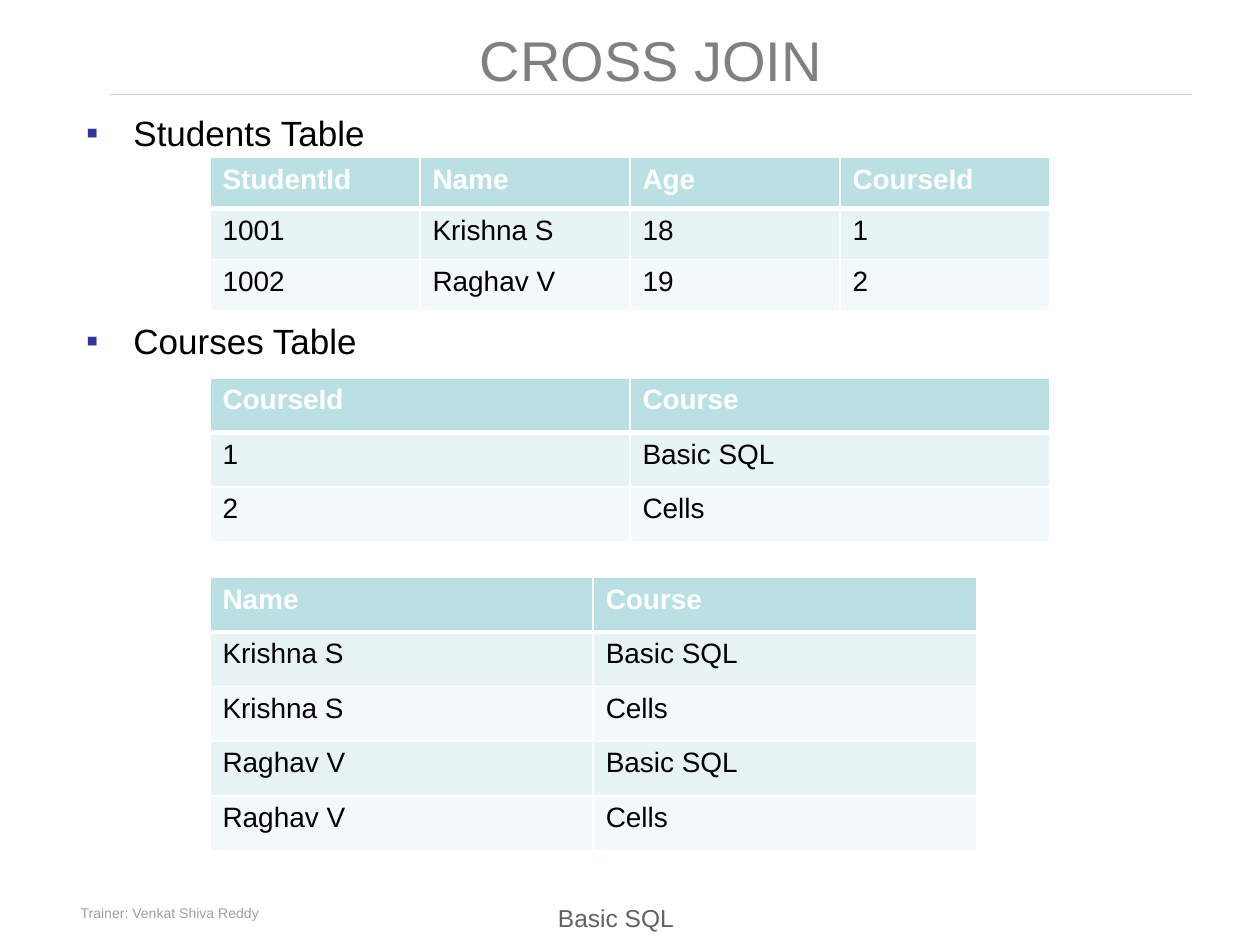
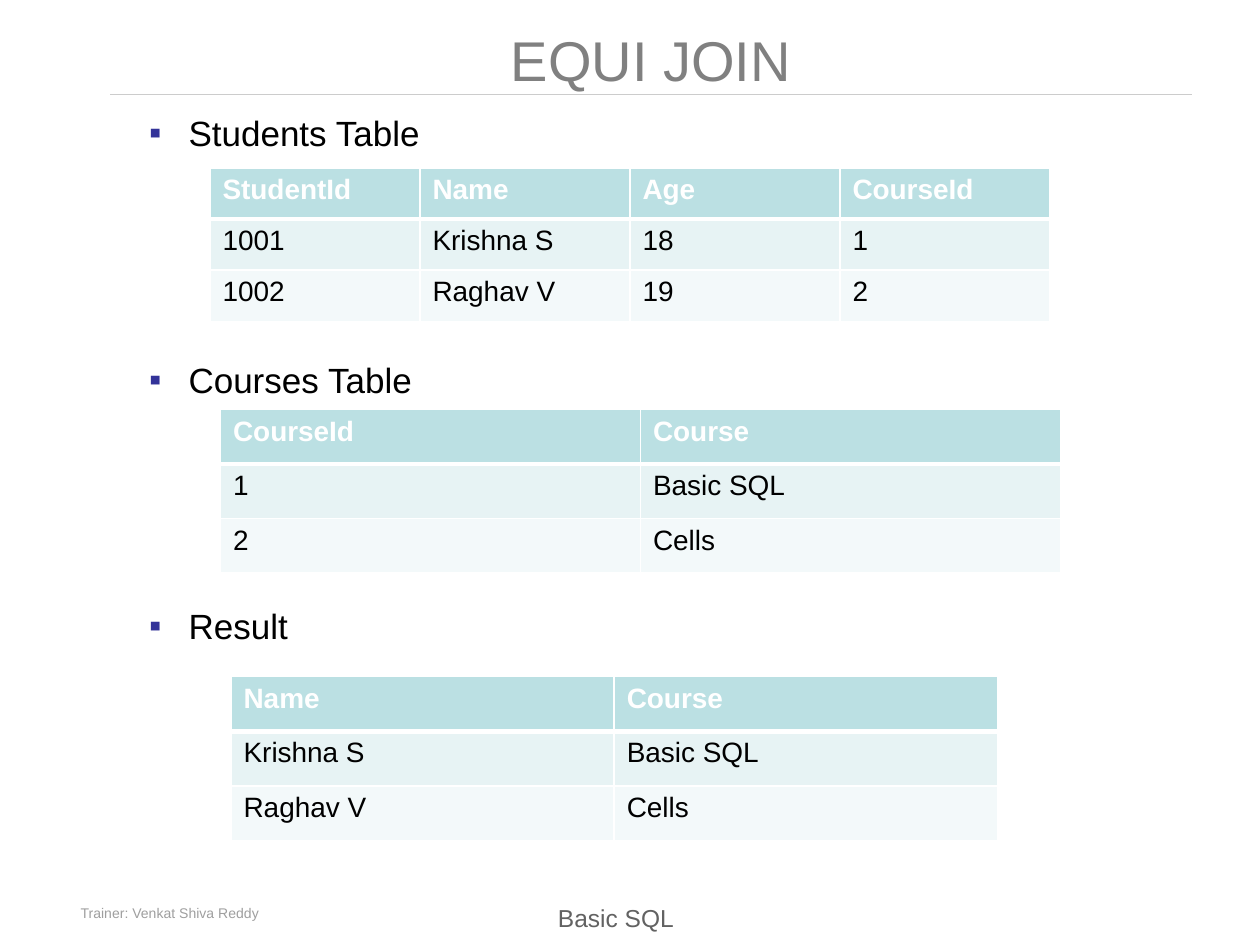
from dataclasses import dataclass

from lxml.etree import SubElement
from pptx import Presentation
from pptx.dml.color import RGBColor
from pptx.enum.shapes import MSO_CONNECTOR
from pptx.enum.text import MSO_ANCHOR, MSO_AUTO_SIZE, PP_ALIGN
from pptx.oxml.ns import qn
from pptx.slide import Slide
from pptx.table import _Cell
from pptx.text.text import _Paragraph
from pptx.util import Pt


@dataclass(frozen=True)
class Style:
    size: float
    color: str
    bold: bool = False


@dataclass(frozen=True)
class Theme:
    font: str = "Arial"
    title: Style = Style(32, "808080")
    body: Style = Style(20, "000000")
    head: Style = Style(16, "FFFFFF", True)
    cell: Style = Style(16, "000000")
    course: Style = Style(14, "626262")
    trainer: Style = Style(8, "9F9F9F")
    bullet: str = "333399"
    rule: str = "CCCCCC"
    border: str = "FFFFFF"
    header: str = "BBE0E3"
    bands: tuple[str, str] = ("E7F3F4", "F3F9FA")


@dataclass(frozen=True)
class Box:
    left: float
    top: float
    width: float
    height: float


@dataclass(frozen=True)
class Footer:
    text: str
    box: Box
    style: Style
    align: PP_ALIGN


@dataclass(frozen=True)
class Grid:
    left: float
    top: float
    width: float
    row: float
    data: tuple[tuple[str, ...], ...]


@dataclass(frozen=True)
class List:
    items: tuple[str, ...]
    level: int
    indent: float
    hang: float
    gap: float


@dataclass(frozen=True)
class Page:
    title: str
    list: List
    grids: tuple[Grid, ...]


THEME = Theme()
TITLE = Box(42, 11.5, 660, 44)
BODY = Box(42, 60, 660, 450)
FOOTERS = (
    Footer("Basic SQL", Box(254, 510, 196, 25), THEME.course, PP_ALIGN.CENTER),
    Footer("Trainer: Venkat Shiva Reddy", Box(39, 512, 177, 18),
           THEME.trainer, PP_ALIGN.LEFT),
)

STUDENTS = (
    ("StudentId", "Name", "Age", "CourseId"),
    ("1001", "Krishna S", "18", "1"),
    ("1002", "Raghav V", "19", "2"),
)
COURSES = (("CourseId", "Course"), ("1", "Basic SQL"), ("2", "Cells"))
HEADS = ("Name", "Course")
NAMES = tuple(row[1] for row in STUDENTS[1:])
TOPICS = tuple(row[1] for row in COURSES[1:])
CROSS = (HEADS, *((name, topic) for name in NAMES for topic in TOPICS))
EQUI = (HEADS, *zip(NAMES, TOPICS))

PAGES = (
    Page(
        "CROSS JOIN",
        List(("Students Table", "Courses Table"), 0, 27, 27, 94.7),
        (
            Grid(120, 90, 480, 29.2, STUDENTS),
            Grid(120, 216, 480, 31.2, COURSES),
            Grid(120, 330, 438, 31.2, CROSS),
        ),
    ),
    Page(
        "EQUI JOIN",
        List(("Students Table", "Courses Table", "Result"), 1, 58.5, 22.5, 117),
        (
            Grid(120, 96, 480, 29.2, STUDENTS),
            Grid(126, 234, 480, 31.2, COURSES),
            Grid(132, 386.7, 438, 31.2, EQUI),
        ),
    ),
)


def place(shape, box: Box) -> None:
    shape.left, shape.top = Pt(box.left), Pt(box.top)
    shape.width, shape.height = Pt(box.width), Pt(box.height)


def format_text(para: _Paragraph, style: Style, align: PP_ALIGN) -> None:
    para.alignment = align
    para.font.name = THEME.font
    para.font.size = Pt(style.size)
    para.font.bold = style.bold
    para.font.color.rgb = RGBColor.from_string(style.color)


def add_bullet(para: _Paragraph, indent: float, hang: float) -> None:
    props = para._p.get_or_add_pPr()
    props.set("marL", str(Pt(indent)))
    props.set("indent", str(-Pt(hang)))
    color = props.makeelement(qn("a:buClr"), {})
    SubElement(color, qn("a:srgbClr"), val=THEME.bullet)
    font = props.makeelement(qn("a:buFont"), {"typeface": THEME.font})
    char = props.makeelement(qn("a:buChar"), {"char": "▪"})
    last = props.find(qn("a:defRPr"))
    for node in (color, font, char):
        last.addprevious(node)


def add_title(slide: Slide, text: str) -> None:
    shape = slide.shapes.title
    place(shape, TITLE)
    frame = shape.text_frame
    frame.text = text
    frame.auto_size = MSO_AUTO_SIZE.NONE
    frame.vertical_anchor = MSO_ANCHOR.MIDDLE
    format_text(frame.paragraphs[0], THEME.title, PP_ALIGN.CENTER)


def add_list(slide: Slide, block: List) -> None:
    shape = slide.placeholders[1]
    place(shape, BODY)
    frame = shape.text_frame
    frame.text = "\n".join(block.items)
    frame.auto_size = MSO_AUTO_SIZE.NONE
    for index, para in enumerate(frame.paragraphs):
        para.level = block.level
        para.space_before = Pt(block.gap if index else 3)
        format_text(para, THEME.body, PP_ALIGN.JUSTIFY)
        add_bullet(para, block.indent, block.hang)


def add_frame(slide: Slide) -> None:
    for footer in FOOTERS:
        box = footer.box
        shape = slide.shapes.add_textbox(
            Pt(box.left), Pt(box.top), Pt(box.width), Pt(box.height))
        frame = shape.text_frame
        frame.word_wrap = True
        frame.text = footer.text
        para = frame.paragraphs[0]
        para.line_spacing = 1.15
        format_text(para, footer.style, footer.align)
    rule = slide.shapes.add_connector(
        MSO_CONNECTOR.STRAIGHT, Pt(63), Pt(54), Pt(681), Pt(54))
    rule.line.color.rgb = RGBColor.from_string(THEME.rule)
    rule.line.width = Pt(1)
    SubElement(rule._element.spPr, qn("a:effectLst"))


def add_border(cell: _Cell, top: float, base: float) -> None:
    props = cell._tc.get_or_add_tcPr()
    sides = {"lnL": 1, "lnR": 1, "lnT": top, "lnB": base}
    for index, (side, width) in enumerate(sides.items()):
        line = props.makeelement(qn(f"a:{side}"), {"w": str(Pt(width))})
        fill = SubElement(line, qn("a:solidFill"))
        SubElement(fill, qn("a:srgbClr"), val=THEME.border)
        props.insert(index, line)


def add_grid(slide: Slide, grid: Grid) -> None:
    rows, cols = len(grid.data), len(grid.data[0])
    table = slide.shapes.add_table(
        rows, cols, Pt(grid.left), Pt(grid.top),
        Pt(grid.width), Pt(grid.row * rows)).table
    for col in table.columns:
        col.width = Pt(grid.width / cols)
    for y, values in enumerate(grid.data):
        table.rows[y].height = Pt(grid.row)
        color = THEME.bands[(y - 1) % 2] if y else THEME.header
        for x, value in enumerate(values):
            cell = table.cell(y, x)
            cell.text = value
            cell.fill.solid()
            cell.fill.fore_color.rgb = RGBColor.from_string(color)
            format_text(cell.text_frame.paragraphs[0],
                        THEME.cell if y else THEME.head, PP_ALIGN.LEFT)
            add_border(cell, 3 if y == 1 else 1, 1 if y else 3)


def main() -> None:
    deck = Presentation()
    deck.slide_width, deck.slide_height = Pt(720), Pt(540)
    for page in PAGES:
        slide = deck.slides.add_slide(deck.slide_layouts[1])
        add_frame(slide)
        add_title(slide, page.title)
        add_list(slide, page.list)
        for grid in page.grids:
            add_grid(slide, grid)
    deck.save("out.pptx")


if __name__ == "__main__":
    main()
